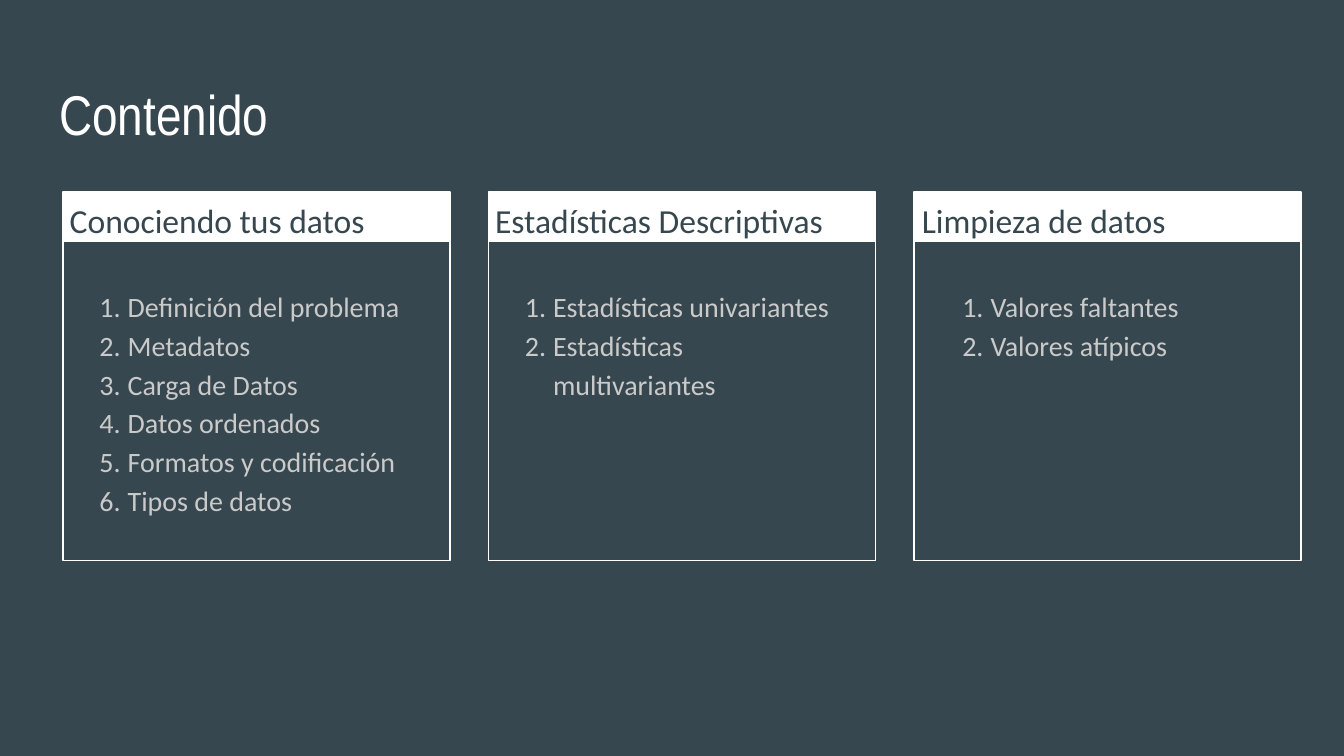
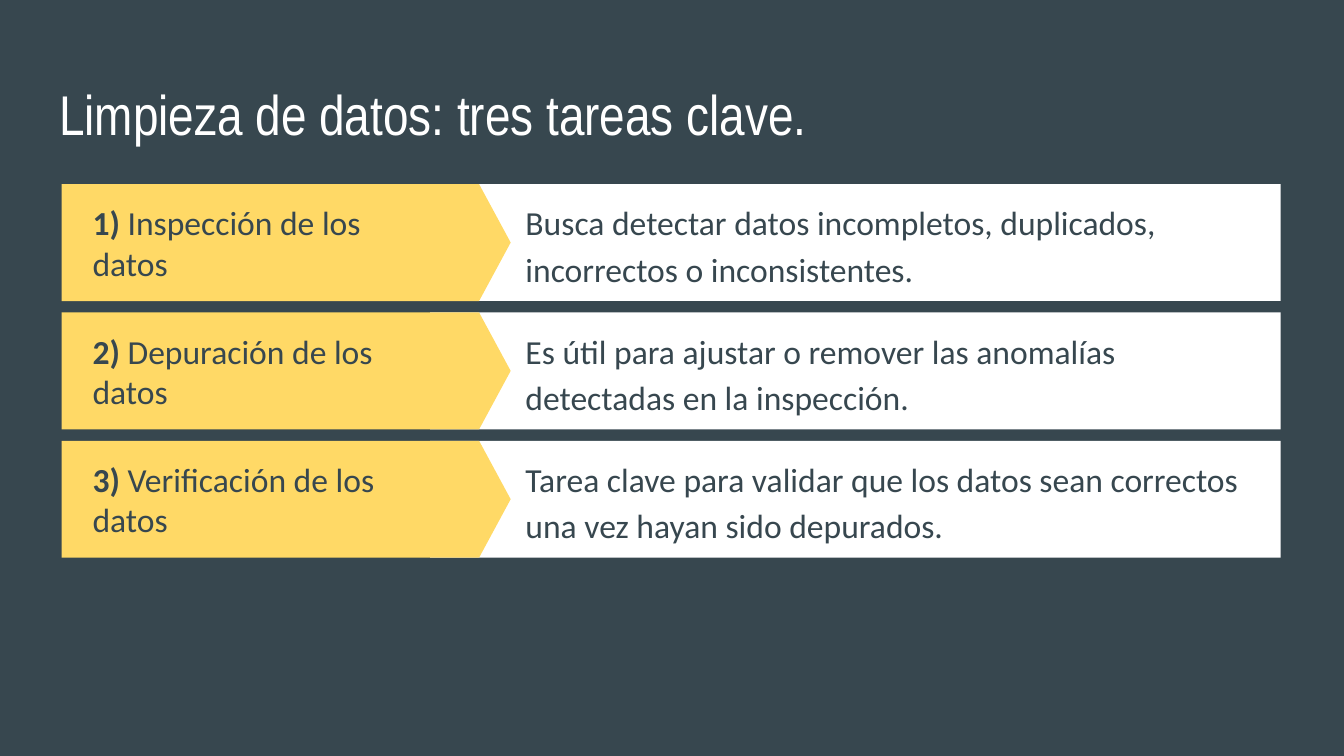
import pptx
import pptx.util
import pptx.dml.color
import pptx.enum.shapes
import pptx.enum.text
import pptx.oxml.ns
from dataclasses import dataclass
from lxml import etree

Inches = pptx.util.Inches
Pt = pptx.util.Pt
KIND = pptx.enum.shapes.MSO_SHAPE
ANCHOR = pptx.enum.text.MSO_ANCHOR


@dataclass(frozen=True)
class Theme:
    slate: str = "37474F"
    white: str = "FFFFFF"
    gray: str = "CACACA"
    gold: str = "FFD966"
    title_font: str = "Arial Narrow"
    font: str = "Calibri"
    title_size: int = 30
    size: int = 18
    list_size: int = 15


THEME = Theme()

# Heading, its shift from the card edge, list indent, list items
CARDS = [
    ("Conociendo tus datos", -0.05, 0.3,
     ["Definición del problema", "Metadatos", "Carga de Datos",
      "Datos ordenados", "Formatos y codificación", "Tipos de datos"]),
    ("Estadísticas Descriptivas", -0.05, 0.3,
     ["Estadísticas univariantes", "Estadísticas multivariantes"]),
    ("Limpieza de datos", -0.04, 0.39,
     ["Valores faltantes", "Valores atípicos"]),
]

TASKS = [
    ("Inspección de los datos",
     "Busca detectar datos incompletos, duplicados, incorrectos o inconsistentes."),
    ("Depuración de los datos",
     "Es útil para ajustar o remover las anomalías detectadas en la inspección."),
    ("Verificación de los datos",
     "Tarea clave para validar que los datos sean correctos una vez hayan sido depurados."),
]


def rgb(code):
    return pptx.dml.color.RGBColor.from_string(code)


def place(shape, left, top, width, height):
    shape.left, shape.top = Inches(left), Inches(top)
    shape.width, shape.height = Inches(width), Inches(height)
    # Bring to the front, above the panels
    tree = shape.element.getparent()
    tree.append(shape.element)


def bullet(para, color, indent):
    """Number the paragraph, or clear the inherited bullet."""
    qn = pptx.oxml.ns.qn
    props = para._p.get_or_add_pPr()
    props.set("marL", str(Inches(indent or 0)))
    props.set("indent", str(Inches(-0.21 if indent else 0)))
    if indent:
        tint = etree.SubElement(props, qn("a:buClr"))
        etree.SubElement(tint, qn("a:srgbClr"), val=color)
        etree.SubElement(props, qn("a:buAutoNum"), type="arabicPeriod")
    else:
        etree.SubElement(props, qn("a:buNone"))


def write(shape, lines, size=THEME.size, color=THEME.slate, font=THEME.font,
          spacing=1.0, anchor=ANCHOR.TOP, indent=None, lead=None):
    """Fill a shape with paragraphs; lead is a bold start to each one."""
    frame = shape.text_frame
    frame.word_wrap = True
    frame.auto_size = pptx.enum.text.MSO_AUTO_SIZE.NONE
    frame.vertical_anchor = anchor
    frame.margin_left = frame.margin_right = Inches(0.1)
    frame.margin_top = frame.margin_bottom = Inches(0.1)
    for i, line in enumerate(lines):
        para = frame.add_paragraph() if i else frame.paragraphs[0]
        bullet(para, color, indent)
        para.alignment = pptx.enum.text.PP_ALIGN.LEFT
        para.line_spacing = spacing
        para.space_before = para.space_after = Pt(0)
        parts = [(lead, True), (line, False)] if lead else [(line, False)]
        for text, bold in parts:
            run = para.add_run()
            run.text = text
            run.font.name, run.font.size = font, Pt(size)
            run.font.bold, run.font.color.rgb = bold, rgb(color)


def panel(group, box, kind=KIND.RECTANGLE, fill=None, line=None):
    shape = group.shapes.add_shape(kind, *map(Inches, box))
    shape.shadow.inherit = False
    if fill:
        shape.fill.solid()
        shape.fill.fore_color.rgb = rgb(fill)
    else:
        shape.fill.background()
    if line:
        shape.line.color.rgb = rgb(line)
        shape.line.width = Pt(0.75)
    else:
        shape.line.fill.background()
    return shape


def label(slide, box, lines, **style):
    write(slide.shapes.add_textbox(*map(Inches, box)), lines, **style)


def start(prs, title):
    """Add a titled slide; return it with its three body placeholders."""
    slide = prs.slides.add_slide(prs.slide_layouts.get_by_name("Comparison"))
    place(slide.shapes.title, 0.34, 0.49, 9.32, 0.63)
    write(slide.shapes.title, [title], size=THEME.title_size,
          color=THEME.white, font=THEME.title_font)
    bodies = list(slide.placeholders)[1:]
    spare = bodies.pop().element
    spare.getparent().remove(spare)
    return slide, bodies


def card(slide, body, box, head, shift, indent, items):
    left, top, width, height = box
    group = slide.shapes.add_group_shape()
    panel(group, (left, top, width, 0.37), fill=THEME.white)
    panel(group, box, line=THEME.white)
    label(slide, (left + shift, top - 0.09, width, 0.5), [head], spacing=1.15)
    place(body, left + 0.08, top + 0.59, width - 0.17, 2.02)
    write(body, items, size=THEME.list_size, color=THEME.gray,
          spacing=1.15, indent=indent)


def task(slide, body, box, number, name, detail):
    left, top, width, height = box
    group = slide.shapes.add_group_shape()
    panel(group, (left + 2.74, top, width - 2.74, height), fill=THEME.white)
    arrow = panel(group, (left, top, 3.34, height), KIND.PENTAGON, THEME.gold)
    arrow.adjustments[0] = 0.27
    label(slide, (left + 0.13, top, 2.65, height), [name],
          anchor=ANCHOR.MIDDLE, lead=f"{number}) ")
    place(body, left + 3.35, top, 5.59, height)
    write(body, [detail], spacing=1.15, anchor=ANCHOR.MIDDLE)


def main():
    prs = pptx.Presentation()
    prs.slide_width = Inches(10)
    prs.slide_height = prs.slide_width * 9 // 16
    back = prs.slide_master.background.fill
    back.solid()
    back.fore_color.rgb = rgb(THEME.slate)

    # Contents: three cards side by side
    slide, bodies = start(prs, "Contenido")
    for i, (body, data) in enumerate(zip(bodies, CARDS)):
        card(slide, body, (0.47 + 6.33 * i / 2, 1.43, 2.88, 2.74), *data)

    # Tasks: three stacked rows
    slide, bodies = start(prs, "Limpieza de datos: tres tareas clave.")
    for i, (body, data) in enumerate(zip(bodies, TASKS)):
        task(slide, body, (0.46, 1.37 + 1.91 * i / 2, 9.07, 0.87), i + 1, *data)

    prs.save("out.pptx")


if __name__ == "__main__":
    main()
